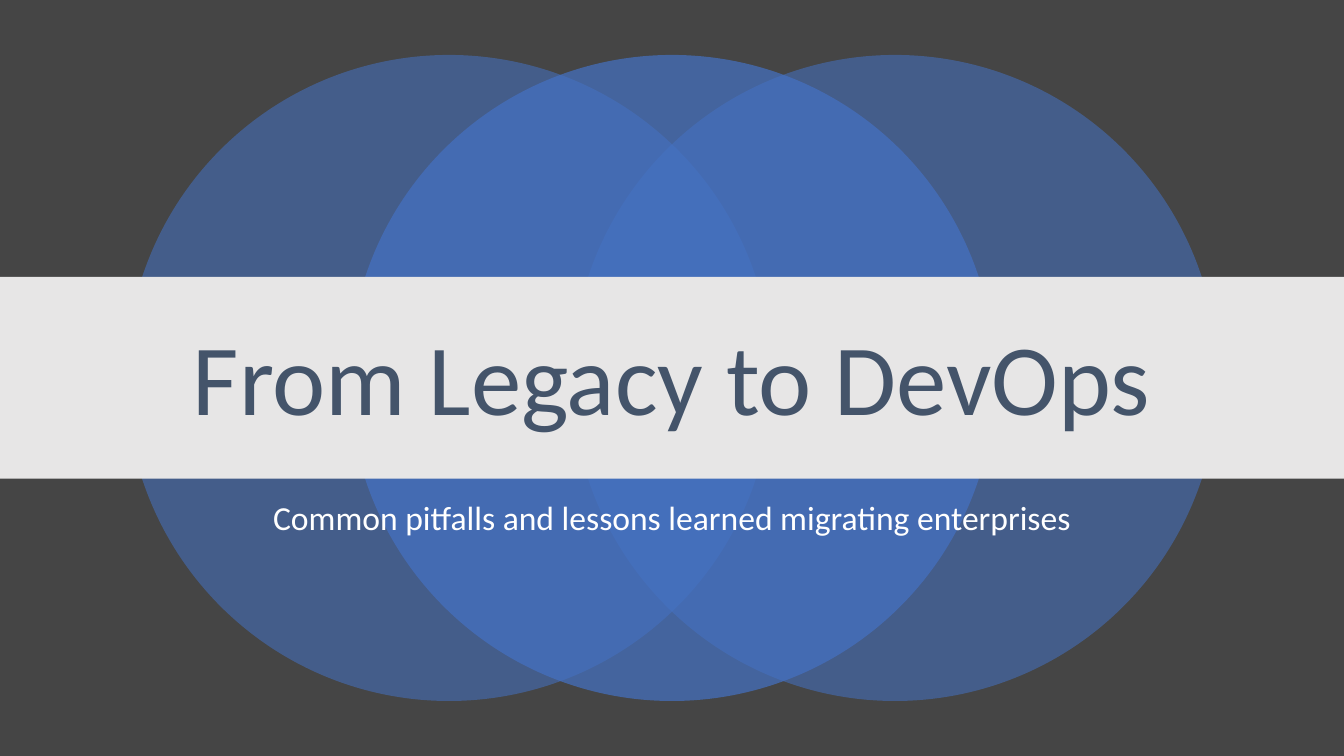
from pptx import Presentation
from pptx.dml.color import RGBColor
from pptx.enum.shapes import MSO_SHAPE
from pptx.enum.text import MSO_ANCHOR, MSO_AUTO_SIZE, PP_ALIGN
from pptx.oxml.ns import qn
from pptx.util import Cm, Pt
from lxml import etree

GREY = RGBColor(0x45, 0x45, 0x45)
BLUE = RGBColor(0x44, 0x72, 0xC4)
PALE = RGBColor(0xE7, 0xE6, 0xE6)
SLATE = RGBColor(0x44, 0x54, 0x6A)
WHITE = RGBColor(0xFF, 0xFF, 0xFF)

# Content
TITLE = "From Legacy to DevOps"
SUBTITLE = "Common pitfalls and lessons learned migrating enterprises"
RINGS = [(-1, 55), (1, 55), (0, 70)]  # steps from the centre, opacity in %

# Measures
WIDTH, HEIGHT = Cm(33.87), Cm(19.05)
SIZE, STEP = Cm(16.28), Cm(5.62)
TEXT = Cm(25.4)

deck = Presentation()
deck.slide_width, deck.slide_height = WIDTH, HEIGHT
slide = deck.slides.add_slide(deck.slide_layouts[0])
slide.background.fill.solid()
slide.background.fill.fore_color.rgb = GREY


def paint(shape, color, alpha=100):
    shape.shadow.inherit = False
    shape.fill.solid()
    shape.fill.fore_color.rgb = color
    shape.line.fill.background()
    if alpha < 100:
        tint = shape.element.spPr.find(qn("a:solidFill"))[0]
        etree.SubElement(tint, qn("a:alpha")).set("val", str(alpha * 1000))


def write(holder, text, top, height, size, color, anchor, before=0):
    holder.left, holder.top = (WIDTH - TEXT) // 2, top
    holder.width, holder.height = TEXT, height
    frame = holder.text_frame
    frame.text = text
    frame.word_wrap = True
    frame.auto_size = MSO_AUTO_SIZE.NONE
    frame.vertical_anchor = anchor
    para = frame.paragraphs[0]
    para.alignment = PP_ALIGN.CENTER
    para.line_spacing = 0.9
    para.space_before = Pt(before)
    para.font.name, para.font.size = "Calibri", Pt(size)
    para.font.color.rgb = color
    # Bring the text in front of the shapes
    slide.shapes.element.append(holder.element)


# Overlapping circles
group = slide.shapes.add_group_shape()
for step, alpha in RINGS:
    left = (WIDTH - SIZE) // 2 + step * STEP
    ring = group.shapes.add_shape(
        MSO_SHAPE.OVAL, left, (HEIGHT - SIZE) // 2, SIZE, SIZE)
    paint(ring, BLUE, alpha)

# Band behind the title
band = slide.shapes.add_shape(
    MSO_SHAPE.RECTANGLE, 0, Cm(6.98), WIDTH, Cm(5.08))
paint(band, PALE)

# Title and subtitle
write(slide.shapes.title, TITLE, Cm(7.72), Cm(3.84), 72, SLATE,
      MSO_ANCHOR.MIDDLE)
write(slide.placeholders[1], SUBTITLE, Cm(12.5), Cm(2.11), 24, WHITE,
      MSO_ANCHOR.TOP, 10)

deck.save("out.pptx")
